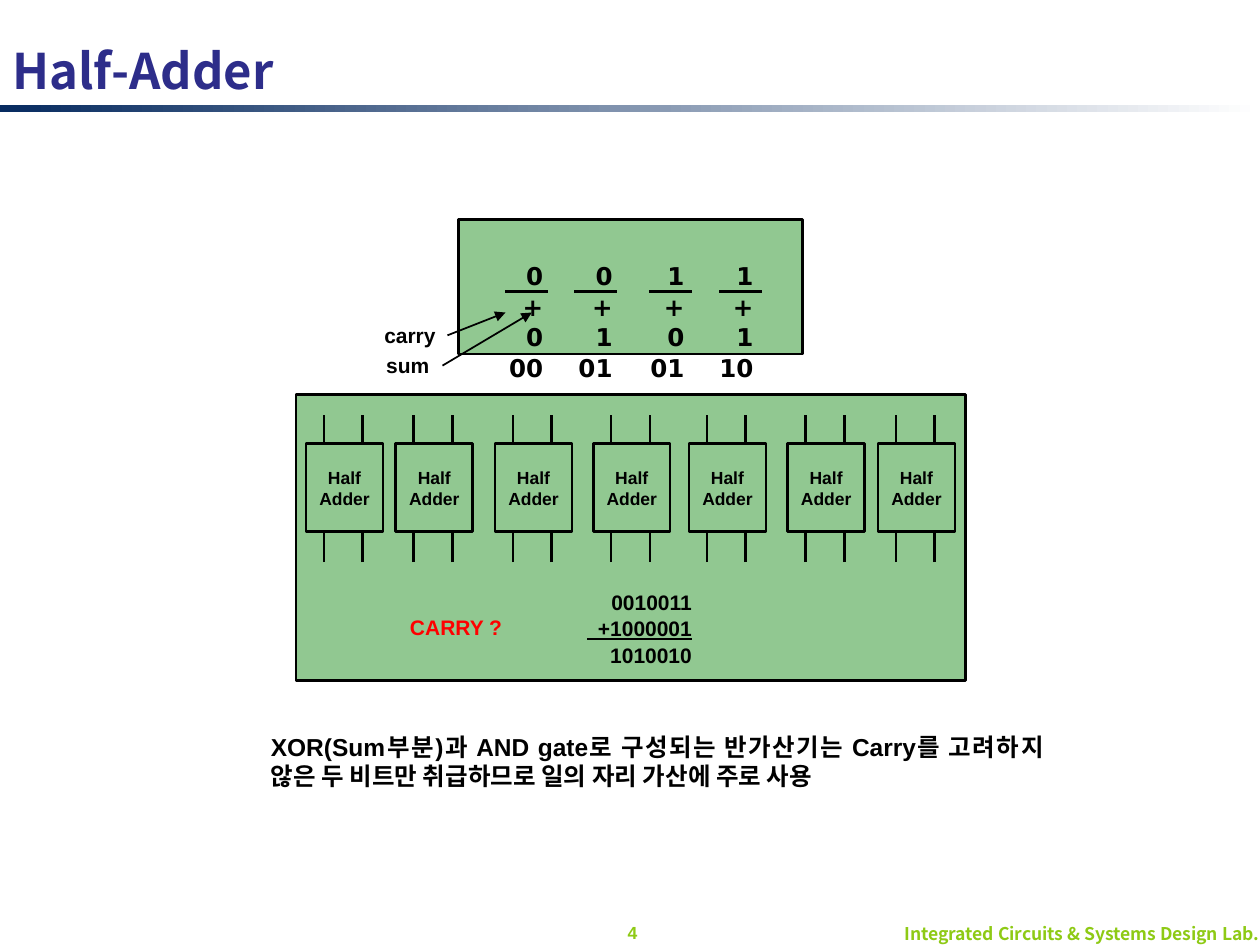
from lxml import etree
from pptx import Presentation
from pptx.dml.color import RGBColor
from pptx.enum.shapes import MSO_CONNECTOR, MSO_SHAPE
from pptx.enum.text import MSO_ANCHOR, PP_ALIGN
from pptx.oxml.ns import qn
from pptx.util import Cm, Pt

STRAIGHT = MSO_CONNECTOR.STRAIGHT
RECTANGLE = MSO_SHAPE.RECTANGLE
TOP, MIDDLE = MSO_ANCHOR.TOP, MSO_ANCHOR.MIDDLE
LEFT, CENTER = PP_ALIGN.LEFT, PP_ALIGN.CENTER
RIGHT, JUSTIFY = PP_ALIGN.RIGHT, PP_ALIGN.JUSTIFY

BLACK, GREEN, RED, LIME = "000000", "008000", "FF0000", "8ECA15"
INDIGO, NAVY, WHITE = "2D2D8A", "072B60", "FFFFFF"
ARIAL, DEJAVU, NOTO = "Arial", "DejaVu Sans", "Noto Sans CJK KR"


def rgb(value):
    return RGBColor.from_string(value)


class Board:
    def __init__(self, slide):
        self.slide = slide
        self.shapes = slide.shapes

    def fill_text(self, frame, lines, size, align, color=BLACK, font=ARIAL,
                  anchor=TOP, wrap=False, spacing=None):
        frame.text = "\n".join(lines)
        frame.word_wrap = wrap
        frame.vertical_anchor = anchor
        for line in frame.paragraphs:
            line.alignment = align
            line.line_spacing = spacing
            line.font.size = Pt(size)
            line.font.bold = True
            line.font.name = font
            line.font.color.rgb = rgb(color)
            east_asian = etree.Element(qn("a:ea"), typeface=NOTO)
            line.font._element.find(qn("a:latin")).addnext(east_asian)

    def title(self, text, box):
        heading = self.shapes.title
        heading.left, heading.top, heading.width, heading.height = map(Cm, box)
        self.fill_text(heading.text_frame, [text], 28, LEFT, INDIGO, NOTO, MIDDLE)

    def text(self, lines, box, size, align, **style):
        label = self.shapes.add_textbox(*map(Cm, box))
        self.fill_text(label.text_frame, lines, size, align, **style)

    def rectangle(self, box):
        outline = self.shapes.add_shape(RECTANGLE, *map(Cm, box))
        outline.shadow.inherit = False
        outline.fill.background()
        outline.line.color.rgb = rgb(BLACK)
        outline.line.width = Pt(1.5)
        return outline

    def panel(self, box):
        area = self.rectangle(box)
        area.fill.solid()
        area.fill.fore_color.rgb = rgb(GREEN)
        tint = area._element.spPr.find(qn("a:solidFill"))[0]
        etree.SubElement(tint, qn("a:alpha"), val="43000")

    def block(self, lines, box):
        gate = self.rectangle(box)
        frame = gate.text_frame
        frame.margin_left = frame.margin_right = Cm(0.1)
        self.fill_text(frame, lines, 10, CENTER, anchor=MIDDLE, wrap=True, spacing=1.04)

    def gradient_bar(self, box, colors):
        bar = self.rectangle(box)
        bar.line.fill.background()
        bar.fill.gradient()
        bar.fill.gradient_angle = 0
        for position, (stop, color) in enumerate(zip(bar.fill.gradient_stops, colors)):
            stop.position = position
            stop.color.rgb = rgb(color)

    def line(self, start, end, width=1.5, arrow=False):
        wire = self.shapes.add_connector(STRAIGHT, *map(Cm, start + end))
        wire.line.color.rgb = rgb(BLACK)
        wire.line.width = Pt(width)
        if arrow:
            outline = wire._element.spPr.find(qn("a:ln"))
            etree.SubElement(outline, qn("a:tailEnd"), type="triangle")
        etree.SubElement(wire._element.spPr, qn("a:effectLst"))


deck = Presentation()
deck.slide_width, deck.slide_height = Cm(25.4), Cm(19.05)
board = Board(deck.slides.add_slide(deck.slide_layouts[5]))

board.gradient_bar((0, 2.11, 25.4, 0.15), (NAVY, WHITE))
board.title("Half-Adder", (0, 0.61, 25.4, 1.6))
board.text(["Integrated Circuits & Systems Design Lab."], (0.33, 18.57, 25.3, 0.48),
           10, RIGHT, color=LIME, font=NOTO, anchor=MIDDLE)
board.text(["4"], (11.76, 18.47, 1.98, 0.69), 10, CENTER, color=LIME, wrap=True)

board.panel((9.25, 4.42, 6.93, 2.72))
board.panel((5.97, 7.95, 13.49, 5.77))

additions = (
    (11.2, 10.19, 0, 0),
    (12.6, 11.58, 0, 1),
    (14.05, 13.08, 1, 0),
    (15.44, 14.5, 1, 1),
)
for right, rule_left, first, second in additions:
    board.text([f"{first}", f"+{second}", f"{first + second:02b}"],
               (right - 1.23, 5.12, 1.23, 2.6), 14, RIGHT,
               font=DEJAVU, wrap=True, spacing=1.04)
    board.line((rule_left, 5.87), (rule_left + 0.86, 5.87))

ADDER_TOP, LEAD = 8.94, 0.58
for left in (6.17, 7.98, 9.98, 11.96, 13.89, 15.88, 17.7):
    board.block(["Half", "Adder"], (left, ADDER_TOP, 1.55, 1.78))
    for lead_x in (left + 0.36, left + 1.14):
        for lead_bottom in (ADDER_TOP, 11.33):
            board.line((lead_x, lead_bottom), (lead_x, lead_bottom - LEAD))

board.text(["0010011", "+1000001", "1010010"], (11.79, 11.73, 2.41, 1.8),
           12, RIGHT, spacing=1.05)
board.line((11.84, 12.88), (13.94, 12.88))
board.text(["CARRY ?"], (8, 12.27, 2.39, 0.76), 12, CENTER, color=RED)

board.text(["carry"], (7.49, 6.38, 1.55, 0.76), 12, CENTER)
board.text(["sum"], (7.52, 6.99, 1.4, 0.76), 12, CENTER)
board.line((9.02, 6.76), (10.19, 6.3), width=1, arrow=True)
board.line((8.92, 7.37), (10.72, 6.3), width=1, arrow=True)

board.text(["XOR(Sum부분)과 AND gate로 구성되는 반가산기는 Carry를 "
            "고려하지 않은 두 비트만 취급하므로 일의 자리 가산에 주로 사용"],
           (5.21, 14.63, 16.08, 1.45), 14, JUSTIFY, wrap=True)

deck.save("out.pptx")
